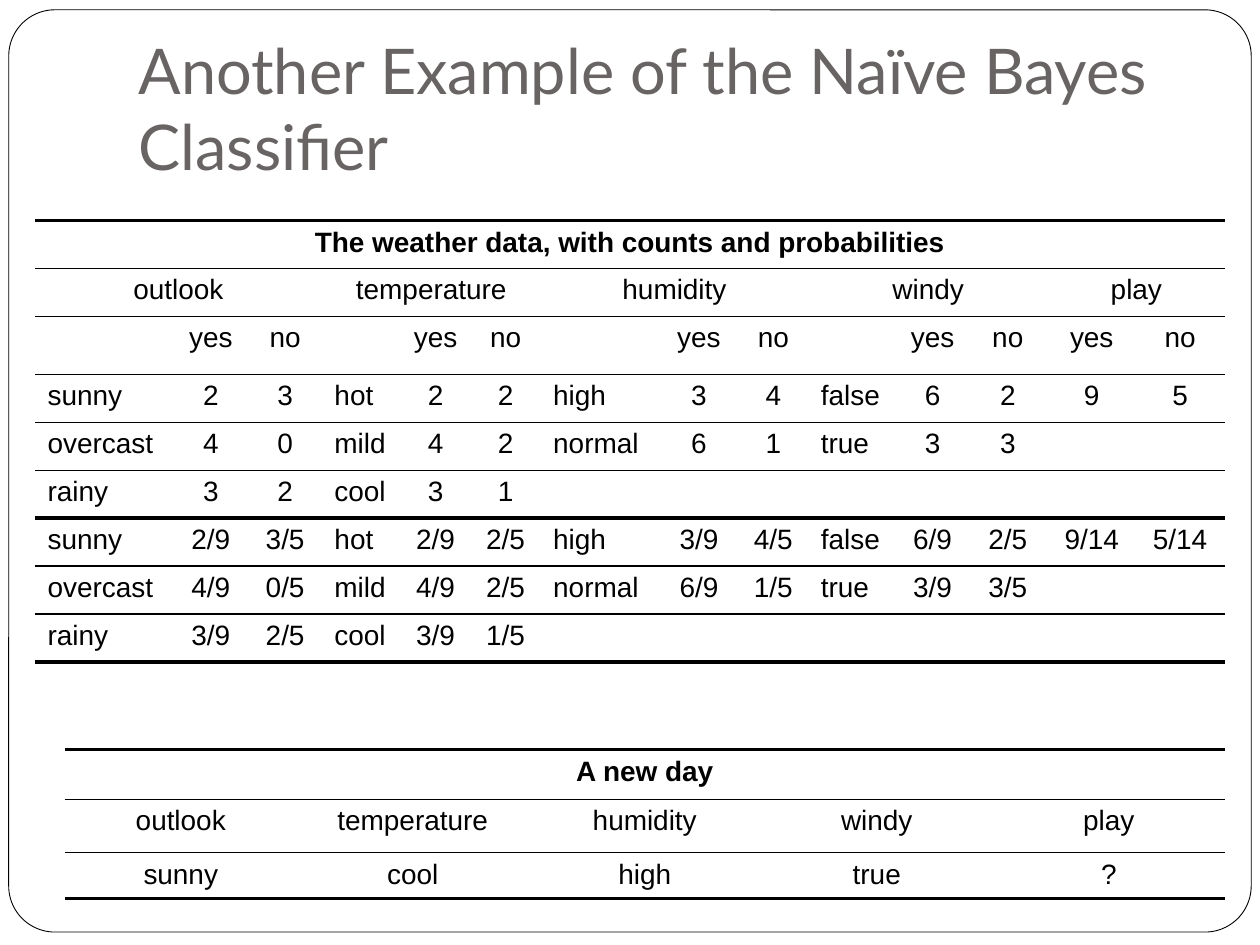
from lxml.etree import SubElement
from pptx import Presentation
from pptx.dml.color import RGBColor
from pptx.enum.shapes import MSO_SHAPE as SHAPE
from pptx.enum.text import MSO_ANCHOR as ANCHOR, MSO_AUTO_SIZE as AUTOSIZE, PP_ALIGN as ALIGN
from pptx.oxml.ns import qn
from pptx.util import Pt


def rgb(value):
    return RGBColor.from_string(value)


def add_ruled_table(s, x, y, widths, heights, rows, spans, thick, left_cells):
    gf = s.shapes.add_table(len(heights), len(widths), Pt(x), Pt(y), Pt(sum(widths)), Pt(sum(heights)))
    tbl = gf.table
    tbl.first_row = tbl.horz_banding = False
    for col, width in zip(tbl.columns, widths):
        col.width = Pt(width)
    for row, height in zip(tbl.rows, heights):
        row.height = Pt(height)
    for r, values in enumerate(rows):
        for c in range(len(widths)):
            cell = tbl.cell(r, c)
            if c < len(values) and values[c]:
                cell.text = values[c]
            p = cell.text_frame.paragraphs[0]
            p.alignment = ALIGN.LEFT if (r, c) in left_cells else ALIGN.CENTER
            p.font.name, p.font.size, p.font.bold = "Arial", Pt(16), r == 0
            p.font.color.rgb = rgb("000000")
            tcPr = cell._tc.get_or_add_tcPr()
            for side in ("lnL", "lnR"):
                SubElement(SubElement(tcPr, qn(f"a:{side}"), w="0"), qn("a:noFill"))
            for side, rule in (("lnT", r), ("lnB", r + 1)):
                width = Pt(2.25 if rule in thick else 1)
                ln = SubElement(tcPr, qn(f"a:{side}"), w=str(width))
                SubElement(SubElement(ln, qn("a:solidFill")), qn("a:srgbClr"), val="000000")
            cell.fill.background()
    for r, first, last in spans:
        tbl.cell(r, first).merge(tbl.cell(r, last))


prs = Presentation()
prs.slide_width, prs.slide_height = Pt(720), Pt(540)
s = prs.slides.add_slide(prs.slide_layouts[5])

title = s.shapes.title
title.left, title.top, title.width, title.height = Pt(72), Pt(21.6), Pt(612), Pt(90)
tf = title.text_frame
tf.text = "Another Example of the Naïve Bayes Classifier"
tf.auto_size = AUTOSIZE.NONE
tf.word_wrap = True
tf.vertical_anchor = ANCHOR.BOTTOM
tf.margin_bottom = Pt(7.2)
p = tf.paragraphs[0]
p.alignment = ALIGN.LEFT
p.font.name, p.font.size = "Lato", Pt(36)
p.font.color.rgb = rgb("696464")

frame = s.shapes.add_shape(SHAPE.ROUNDED_RECTANGLE, Pt(5), Pt(5.6), Pt(710), Pt(527))
frame.adjustments[0] = 0.05
frame.shadow.inherit = False
frame.fill.solid()
frame.fill.fore_color.rgb = rgb("FFFFFF")
frame.line.color.rgb = rgb("000000")
frame.line.width = Pt(0.5)
title.element.addprevious(frame.element)

attributes = ["outlook", "temperature", "humidity", "windy", "play"]
starts = [0, 3, 6, 9, 12]
ends = [2, 5, 8, 11, 13]
group_row = [""] * 14
for start, name in zip(starts, attributes):
    group_row[start] = name

weather = [
    ["The weather data, with counts and probabilities"],
    group_row,
    ["", "yes", "no"] * 4 + ["yes", "no"],
    "sunny 2 3 hot 2 2 high 3 4 false 6 2 9 5".split(),
    "overcast 4 0 mild 4 2 normal 6 1 true 3 3".split(),
    "rainy 3 2 cool 3 1".split(),
    "sunny 2/9 3/5 hot 2/9 2/5 high 3/9 4/5 false 6/9 2/5 9/14 5/14".split(),
    "overcast 4/9 0/5 mild 4/9 2/5 normal 6/9 1/5 true 3/9 3/5".split(),
    "rainy 3/9 2/5 cool 3/9 1/5".split(),
]
add_ruled_table(
    s, 20, 126,
    widths=[79, 43, 42, 45, 40, 40, 68, 45, 40, 51, 40, 46, 50, 51],
    heights=[27.4] * 2 + [33.2] + [27.4] * 6,
    rows=weather,
    spans=[(0, 0, 13)] + [(1, start, end) for start, end in zip(starts, ends)],
    thick={0, 6, 9},
    left_cells={(r, c) for r in range(3, 9) for c in starts[:4]},
)

new_day = [["A new day"], attributes, ["sunny", "cool", "high", "true", "?"]]
add_ruled_table(
    s, 37, 428.4,
    widths=[132.6] * 5,
    heights=[28.4, 30.4, 26.4],
    rows=new_day,
    spans=[(0, 0, 4)],
    thick={0, 3},
    left_cells=set(),
)

prs.save("out.pptx")
